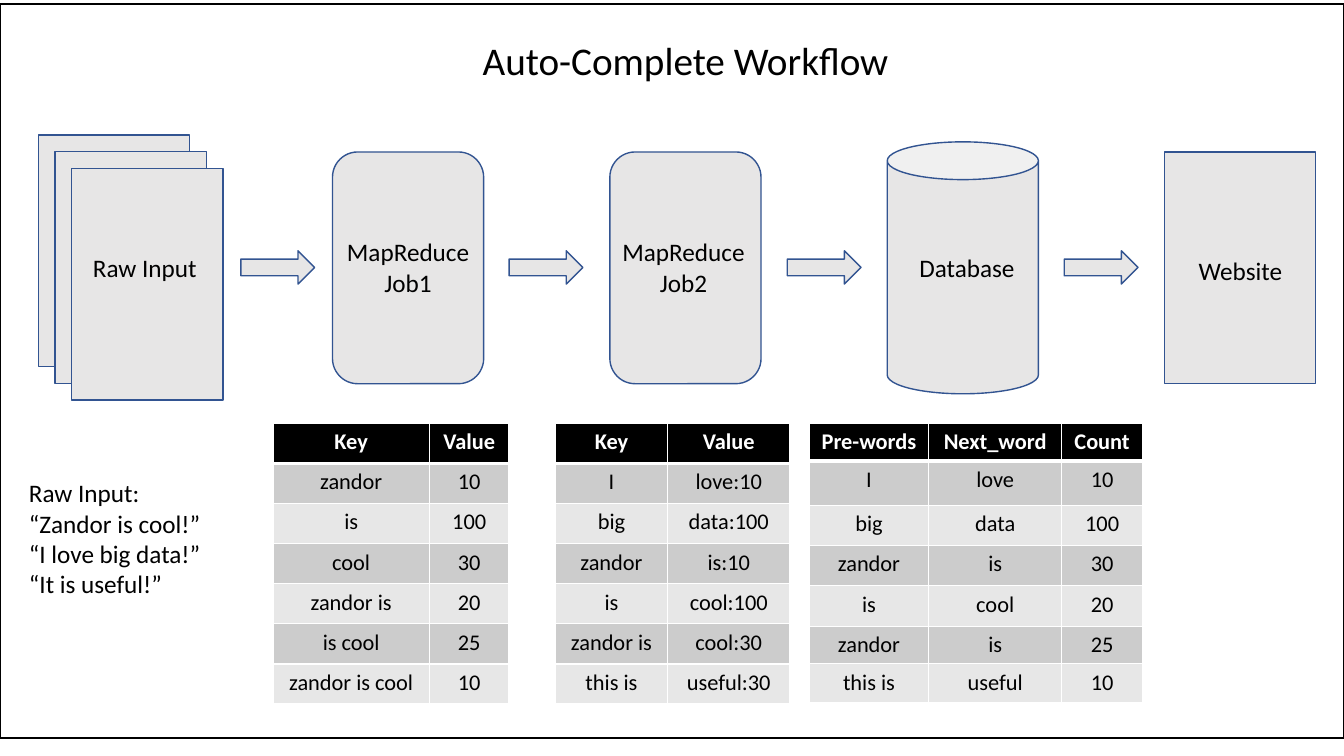
from dataclasses import dataclass
from lxml.etree import SubElement
from pptx import Presentation
from pptx.dml.color import RGBColor as Rgb
from pptx.enum.shapes import MSO_SHAPE as Preset
from pptx.enum.text import PP_ALIGN as Align
from pptx.oxml.ns import qn
from pptx.util import Cm, Pt


@dataclass(frozen=True)
class Theme:
    font: str = "Calibri"
    ink: str = "000000"
    paper: str = "FFFFFF"
    stage: str = "E7E6E6"
    outline: str = "325491"
    odd_row: str = "CCCCCC"
    even_row: str = "E7E7E7"
    title_size: float = 28
    label_size: float = 18
    cell_size: float = 16
    frame_line: float = 1.5
    thin_line: float = 1
    header_line: float = 3


theme = Theme()

title = "Auto-Complete Workflow"
raw_lines = ["Raw Input:", "“Zandor is cool!”", "“I love big data!”", "“It is useful!”"]
stages = [
    (Preset.ROUNDED_RECTANGLE, 5.84),
    (Preset.ROUNDED_RECTANGLE, 5.84),
    (Preset.CAN, 6.35),
    (Preset.RECTANGLE, 5.84),
]
labels = [
    ("Raw Input", 1.96, 6.23, 3.38, 1.02),
    ("MapReduce Job1", 8.38, 5.84, 3.81, 1.8),
    ("MapReduce Job2", 15.32, 5.84, 3.81, 1.8),
    ("Database", 22.68, 6.23, 3.38, 1.02),
    ("Website", 29.57, 6.32, 3.38, 1.02),
]
arrow_lefts = [6.07, 12.83, 19.84, 26.82]
even_heights = [1.01] * 7
tables = [
    (6.88, [3.94, 2.01], even_heights, [
        ("Key", "Value"), ("zandor", "10"), ("is", "100"), ("cool", "30"),
        ("zandor is", "20"), ("is cool", "25"), ("zandor is cool", "10")]),
    (14.0, [2.82, 3.09], even_heights, [
        ("Key", "Value"), ("I", "love:10"), ("big", "data:100"), ("zandor", "is:10"),
        ("is", "cool:100"), ("zandor is", "cool:30"), ("this is", "useful:30")]),
    (20.4, [3.0, 3.36, 2.03], [0.94, 1.13, 1.0, 1.02, 1.02, 0.95, 0.98], [
        ("Pre-words", "Next_word", "Count"), ("I", "love", "10"), ("big", "data", "100"),
        ("zandor", "is", "30"), ("is", "cool", "20"), ("zandor", "is", "25"),
        ("this is", "useful", "10")]),
]

deck = Presentation()
deck.slide_width, deck.slide_height = Cm(33.87), Cm(19.05)
slide = deck.slides.add_slide(deck.slide_layouts[6])


def draw(preset, left, top, width, height,
         fill=theme.stage, line=theme.outline, weight=theme.thin_line):
    part = slide.shapes.add_shape(preset, Cm(left), Cm(top), Cm(width), Cm(height))
    part.shadow.inherit = False
    part.fill.solid()
    part.fill.fore_color.rgb = Rgb.from_string(fill)
    part.line.color.rgb = Rgb.from_string(line)
    part.line.width = Pt(weight)


def write(frame, lines, size, align=Align.CENTER, color=theme.ink, bold=False):
    for i, line in enumerate(lines):
        paragraph = frame.add_paragraph() if i else frame.paragraphs[0]
        paragraph.alignment = align
        run = paragraph.add_run()
        run.text = line
        run.font.name = theme.font
        run.font.size = Pt(size)
        run.font.bold = bold
        run.font.color.rgb = Rgb.from_string(color)


def label(lines, left, top, width, height, size=theme.label_size, align=Align.CENTER):
    box = slide.shapes.add_textbox(Cm(left), Cm(top), Cm(width), Cm(height))
    box.text_frame.word_wrap = True
    write(box.text_frame, lines, size, align)


def add_borders(cell, top, bottom):
    properties = cell._tc.get_or_add_tcPr()
    weights = {"L": theme.thin_line, "R": theme.thin_line, "T": top, "B": bottom}
    for side, weight in weights.items():
        edge = SubElement(properties, qn(f"a:ln{side}"), w=str(Pt(weight)))
        SubElement(SubElement(edge, qn("a:solidFill")), qn("a:srgbClr"), val=theme.paper)


def add_results(left, widths, heights, rows):
    grid = slide.shapes.add_table(
        len(rows), len(widths), Cm(left), Cm(10.67), Cm(sum(widths)), Cm(sum(heights))).table
    for column, width in zip(grid.columns, widths):
        column.width = Cm(width)
    for r, values in enumerate(rows):
        grid.rows[r].height = Cm(heights[r])
        header = r == 0
        fill = theme.ink if header else theme.odd_row if r % 2 else theme.even_row
        for c, value in enumerate(values):
            cell = grid.cell(r, c)
            add_borders(cell, theme.header_line if r == 1 else theme.thin_line,
                        theme.header_line if header else theme.thin_line)
            cell.fill.solid()
            cell.fill.fore_color.rgb = Rgb.from_string(fill)
            write(cell.text_frame, [value], theme.cell_size,
                  color=theme.paper if header else theme.ink, bold=header)


draw(Preset.RECTANGLE, 0, 0.1, 33.87, 18.5, theme.paper, theme.ink, theme.frame_line)

stage_width, sheet_height, sheet_step = 3.81, 5.84, 0.42
for sheet in range(3):
    draw(Preset.RECTANGLE, 0.97 + sheet * sheet_step, 3.4 + sheet * sheet_step,
         stage_width, sheet_height)

stage_left, stage_pitch, stage_middle = 8.38, 6.99, 6.75
for i, (preset, height) in enumerate(stages):
    draw(preset, stage_left + i * stage_pitch, stage_middle - height / 2, stage_width, height)

for left in arrow_lefts:
    draw(Preset.RIGHT_ARROW, left, 6.32, 1.86, 0.84)

for name, *place in labels:
    label([name], *place)
label([title], 9.96, 0.79, 14.63, 1.45, theme.title_size)
label(raw_lines, 0.48, 11.91, 6.32, 3.33, align=Align.LEFT)

for result in tables:
    add_results(*result)

deck.save("out.pptx")
